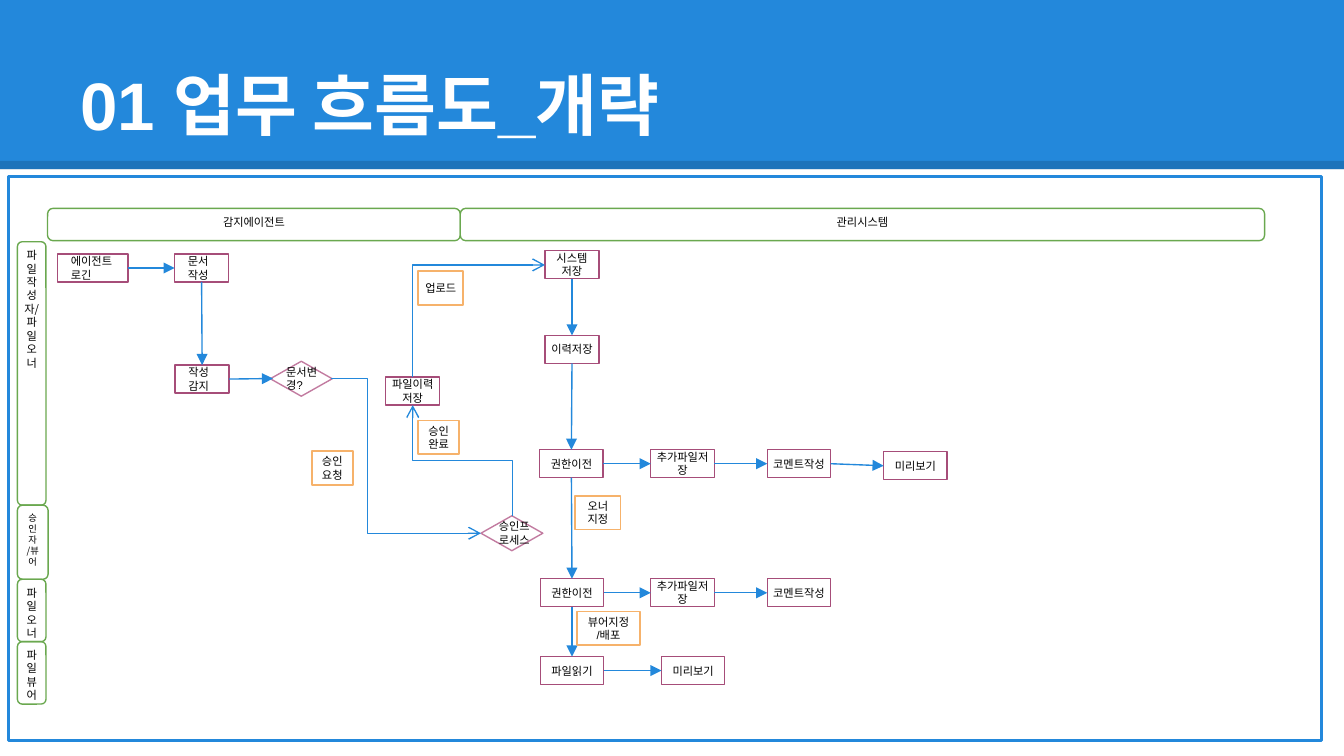
"""Build the overview slide of the document approval workflow."""
from lxml import etree
from pptx import Presentation
from pptx.dml.color import RGBColor
from pptx.enum.shapes import MSO_CONNECTOR, MSO_SHAPE
from pptx.enum.text import MSO_ANCHOR, PP_ALIGN
from pptx.oxml.ns import qn
from pptx.util import Cm, Pt

RECTANGLE, ROUNDED, DIAMOND = MSO_SHAPE.RECTANGLE, MSO_SHAPE.ROUNDED_RECTANGLE, MSO_SHAPE.DIAMOND
STRAIGHT, ELBOW = MSO_CONNECTOR.STRAIGHT, MSO_CONNECTOR.ELBOW
LEFT, CENTER = PP_ALIGN.LEFT, PP_ALIGN.CENTER
TOP, MIDDLE, BOTTOM = MSO_ANCHOR.TOP, MSO_ANCHOR.MIDDLE, MSO_ANCHOR.BOTTOM
LATIN, KOREAN = "Arial", "Noto Sans CJK KR"
BLUE, GREEN, PLUM, PINK, ORANGE = "2388DB", "6AA84F", "A64D79", "C27BA0", "F6B26B"
BLACK, WHITE = "000000", "FFFFFF"

WIDTH, HEIGHT = 25.4, 14.29
TITLE = "01 업무 흐름도_개략"
SYSTEMS = [("감지에이전트", 0.9, 7.8), ("관리시스템", 8.7, 15.2)]
LANES = [
    (["파일작성자/파일오너"], 0.54, 4.98, 6),
    (["승인자", "/뷰어"], 0.58, 1.4, 5),
    (["파일오너"], 0.54, 1.18, 6),
    (["파일뷰어"], 0.54, 1.18, 6),
]
LANE_LEFT, LANE_TOP = 0.33, 4.57

STEP_HEIGHT, NOTE_HEIGHT = 0.53, 0.64
AGENT_STEPS = {
    "login": ("에이전트로긴", 1.09, 4.8, 1.33),
    "write": ("문서작성", 3.3, 4.8, 1.02),
    "detect": ("작성감지", 3.31, 6.9, 1.02),
}
SYSTEM_STEPS = {
    "history": ("파일이력저장", 7.29, 7.13, 1.02),
    "save": ("시스템\n저장", 10.3, 4.74, 1.02),
    "log": ("이력저장", 10.3, 6.34, 1.02),
    "owner": ("권한이전", 10.2, 8.5, 1.2),
    "owner file": ("추가파일저장", 12.3, 8.5, 1.2),
    "owner comment": ("코멘트작성", 14.5, 8.5, 1.2),
    "owner preview": ("미리보기", 16.7, 8.54, 1.2),
    "viewer": ("권한이전", 10.21, 10.94, 1.2),
    "viewer file": ("추가파일저장", 12.3, 10.94, 1.2),
    "viewer comment": ("코멘트작성", 14.5, 10.94, 1.2),
    "read": ("파일읽기", 10.21, 12.41, 1.2),
    "read preview": ("미리보기", 12.5, 12.41, 1.2),
}
DECISIONS = {
    "changed": ("문서변경?", 5.11, 6.83, 0.05, LEFT, 0.25),
    "approval": ("승인프\n로세스", 9.09, 9.75, 0.08, CENTER, 0.1),
}
NOTES = [
    ("승인\n완료", 7.9, 7.95, 0.78),
    ("승인\n요청", 5.89, 8.53, 0.78),
    ("업로드", 7.9, 5.13, 0.86),
    ("오너\n지정", 10.87, 9.37, 0.86),
    ("뷰어지정\n/배포", 10.9, 11.56, 1.2),
]
ACROSS = [
    ("login", "write"), ("detect", "changed"),
    ("owner", "owner file"), ("owner file", "owner comment"),
    ("owner comment", "owner preview"),
    ("viewer", "viewer file"), ("viewer file", "viewer comment"),
    ("read", "read preview"),
]
DOWN = [("write", "detect"), ("save", "log"), ("log", "owner"), ("owner", "viewer"), ("viewer", "read")]
ELBOWS = [
    ((6.26, 7.16), (9.09, 10.08), "bentConnector3", 0, "", 24400),
    ((9.68, 9.75), (7.8, 7.66), "bentConnector3", 270, "V", 50000),
    ((7.8, 7.13), (10.3, 5.01), "bentConnector2", 90, "HV", None),
]


def color(value):
    return RGBColor.from_string(value)


def write(box, lines, size, font=LATIN, align=CENTER, anchor=MIDDLE, inset=0.1, ink=BLACK, bold=False):
    frame = box.text_frame
    frame.word_wrap = True
    frame.vertical_anchor = anchor
    frame.margin_left = frame.margin_right = frame.margin_top = frame.margin_bottom = Cm(inset)
    for index, line in enumerate(lines):
        para = frame.add_paragraph() if index else frame.paragraphs[0]
        para.text = line
        para.alignment = align
        para.font.name, para.font.size, para.font.bold = font, Pt(size), bold
        para.font.color.rgb = color(ink)


def add_box(page, kind, left, top, width, height, outline=None, weight=0.75, fill=None):
    box = page.shapes.add_shape(kind, Cm(left), Cm(top), Cm(width), Cm(height))
    box.shadow.inherit = False
    if fill:
        box.fill.solid()
        box.fill.fore_color.rgb = color(fill)
    else:
        box.fill.background()
    if outline:
        box.line.color.rgb = color(outline)
        box.line.width = Pt(weight)
    else:
        box.line.fill.background()
    if kind == ROUNDED:
        box.adjustments[0] = 0.167
    return box


def add_text(page, left, top, width, height):
    return page.shapes.add_textbox(Cm(left), Cm(top), Cm(width), Cm(height))


def add_line(page, kind, start, end, ink=BLUE, weight=0.75, head=None):
    line = page.shapes.add_connector(kind, *(Cm(value) for value in (*start, *end)))
    line.line.color.rgb = color(ink)
    line.line.width = Pt(weight)
    if head:
        etree.SubElement(line.line._get_or_add_ln(), qn("a:tailEnd"), type=head)
    etree.SubElement(line._element.spPr, qn("a:effectLst"))
    return line


def add_elbow(page, start, end, preset, turn, flips, bend):
    width, height = abs(end[0] - start[0]), abs(end[1] - start[1])
    if turn:
        width, height = height, width
    left = (start[0] + end[0] - width) / 2
    top = (start[1] + end[1] - height) / 2
    line = add_line(page, ELBOW, (left, top), (left + width, top + height), head="arrow")
    properties = line._element.spPr
    transform = properties.find(qn("a:xfrm"))
    transform.set("rot", str(turn * 60000))
    for axis in flips:
        transform.set("flip" + axis, "1")
    geometry = properties.find(qn("a:prstGeom"))
    geometry.set("prst", preset)
    if bend is not None:
        guides = geometry.find(qn("a:avLst"))
        etree.SubElement(guides, qn("a:gd"), name="adj1", fmla=f"val {bend}")


def add_banner(page):
    add_box(page, RECTANGLE, 0, 0, WIDTH, 3.2, fill=BLUE)
    rule = add_line(page, STRAIGHT, (0, 3.12), (WIDTH, 3.12), BLACK, 4.5)
    ink = rule._element.spPr.find(".//" + qn("a:srgbClr"))
    etree.SubElement(ink, qn("a:alpha"), val="15000")
    title = add_text(page, 1.27, 0.58, 22.86, 2.39)
    write(title, [TITLE], 36, align=LEFT, anchor=BOTTOM, inset=0.25, ink=WHITE, bold=True)


def add_lanes(page):
    add_box(page, RECTANGLE, 0.16, 3.33, 24.82, 10.67, BLUE, 1.5)
    for label, left, width in SYSTEMS:
        write(add_box(page, ROUNDED, left, 3.94, width, 0.61, GREEN), [label], 6, KOREAN, anchor=TOP)
    top = LANE_TOP
    for lines, width, height, size in LANES:
        write(add_box(page, ROUNDED, LANE_LEFT, top, width, height, GREEN), lines, size, KOREAN, anchor=TOP)
        top += height


def add_flow(page):
    boxes = {}
    for steps, align, inset in ((AGENT_STEPS, LEFT, 0.25), (SYSTEM_STEPS, CENTER, 0.1)):
        for key, (label, left, top, width) in steps.items():
            boxes[key] = add_box(page, RECTANGLE, left, top, width, STEP_HEIGHT, PLUM)
            write(boxes[key], label.split("\n"), 6, align=align, inset=inset)
    for key, (label, left, top, shift, align, inset) in DECISIONS.items():
        add_box(page, DIAMOND, left, top, 1.17, 0.66, PINK)
        boxes[key] = add_text(page, left + shift, top + 0.06, 1.1, STEP_HEIGHT)
        write(boxes[key], label.split("\n"), 6, align=align, inset=inset)
    for pairs, leave, arrive in ((ACROSS, 3, 1), (DOWN, 2, 0)):
        for source, target in pairs:
            arrow = add_line(page, STRAIGHT, (0, 0), (1, 1), head="triangle")
            arrow.begin_connect(boxes[source], leave)
            arrow.end_connect(boxes[target], arrive)
    for elbow in ELBOWS:
        add_elbow(page, *elbow)
    for label, left, top, width in NOTES:
        write(add_box(page, RECTANGLE, left, top, width, NOTE_HEIGHT, ORANGE, 1), label.split("\n"), 6)


def main():
    deck = Presentation()
    deck.slide_width, deck.slide_height = Cm(WIDTH), Cm(HEIGHT)
    page = deck.slides.add_slide(deck.slide_layouts[6])
    add_banner(page)
    add_lanes(page)
    add_flow(page)
    deck.save("out.pptx")


if __name__ == "__main__":
    main()
